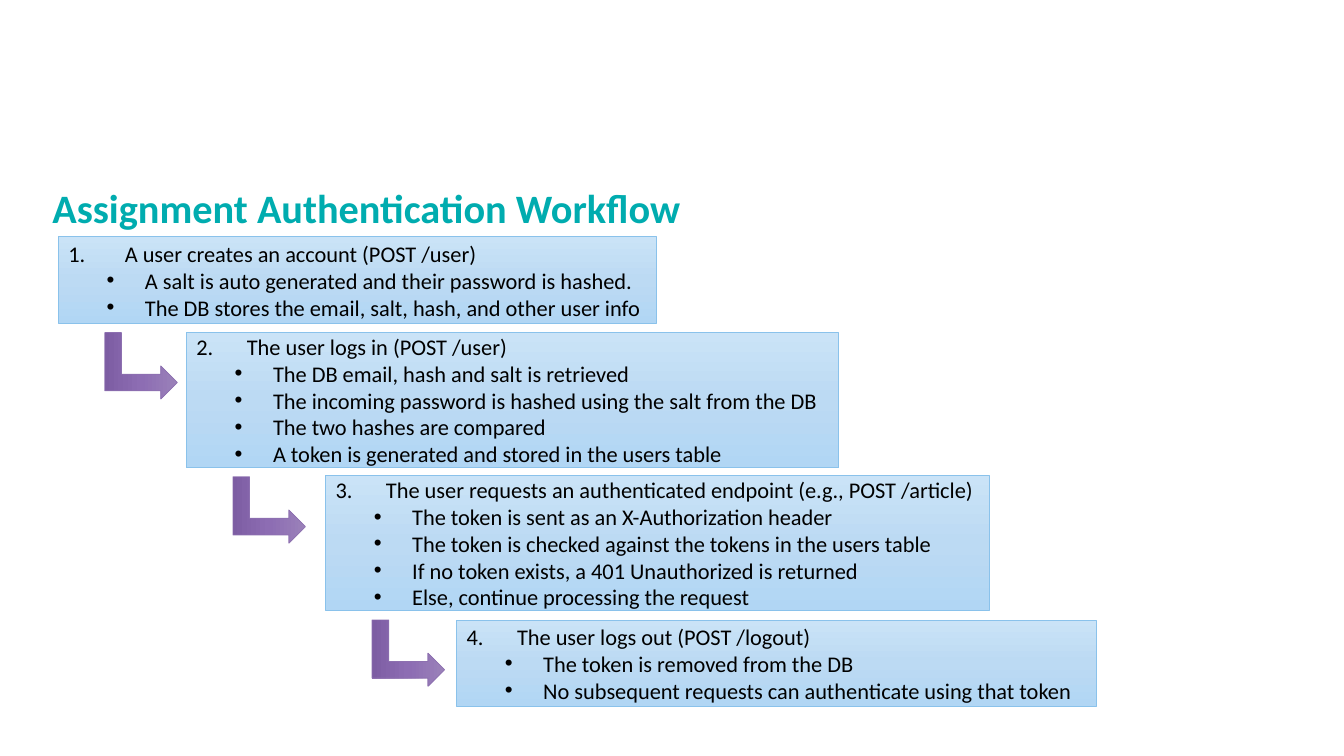
import copy

import pptx
import pptx.dml.color
import pptx.enum.shapes
import pptx.enum.text
import pptx.oxml
import pptx.oxml.ns
import pptx.util

Inches, Pt = pptx.util.Inches, pptx.util.Pt
SHAPES = pptx.enum.shapes.MSO_SHAPE
TEXT = pptx.enum.text

# Content: left, top, width, height, heading indent, heading, bullets
TITLE = "Assignment Authentication Workflow"
STEPS = [
    (0.58, 2.35, 5.93, 0.86, 0.56, "A user creates an account (POST /user)", [
        "A salt is auto generated and their password is hashed.",
        "The DB stores the email, salt, hash, and other user info"]),
    (1.85, 3.3, 6.47, 1.34, 0.5, "The user logs in (POST /user)", [
        "The DB email, hash and salt is retrieved",
        "The incoming password is hashed using the salt from the DB",
        "The two hashes are compared",
        "A token is generated and stored in the users table"]),
    (3.23, 4.72, 6.58, 1.34, 0.5,
     "The user requests an authenticated endpoint (e.g., POST /article)", [
         "The token is sent as an X-Authorization header",
         "The token is checked against the tokens in the users table",
         "If no token exists, a 401 Unauthorized is returned",
         "Else, continue processing the request"]),
    (4.53, 6.15, 6.34, 0.86, 0.5, "The user logs out (POST /logout)", [
        "The token is removed from the DB",
        "No subsequent requests can authenticate using that token"]),
]
COLORS = {"title": "00ACAF", "text": "000000",
          "box_line": "8AC2EB", "arrow_line": "8D70B0"}
BOX_GRADIENT = ["CAE3F7", "BCDAF3", "B1D6F4"]
ARROW_GRADIENT = ["9A81B9", "8D6DB3", "7D5DA3"]
FONT = "Calibri"
ARROW_W, ARROW_H = 0.66, 0.72
ARROW_DX, ARROW_DY = 0.49, 0.06  # from a box's bottom left corner


def rgb(value):
    return pptx.dml.color.RGBColor.from_string(value)


def add_gradient_shape(s, kind, left, top, width, height, gradient, line):
    sp = s.shapes.add_shape(kind, *map(Inches, (left, top, width, height)))
    sp.shadow.inherit = False
    sp.fill.gradient()
    sp.fill.gradient_angle = 270  # counter-clockwise, so top to bottom
    stop_list = sp._element.spPr.find(".//" + pptx.oxml.ns.qn("a:gsLst"))
    stop_list.insert(1, copy.deepcopy(stop_list[0]))
    for stop, position, color in zip(sp.fill.gradient_stops, (0, 0.5, 1), gradient):
        stop.position = position
        stop.color.rgb = rgb(color)
    sp.line.color.rgb = rgb(line)
    sp.line.width = Pt(0.5)
    return sp


def add_item(p, text, bullet, margin, indent, level=0):
    p.text = text
    p.level = level
    p.alignment = TEXT.PP_ALIGN.LEFT
    p.font.name, p.font.size = FONT, Pt(16)
    p.font.color.rgb = rgb(COLORS["text"])
    pPr = p._p.get_or_add_pPr()
    pPr.set("marL", str(Inches(margin)))
    pPr.set("indent", str(-Inches(indent)))
    ns = pptx.oxml.ns.nsdecls("a")
    marks = [f'<a:buAutoNum {ns} type="arabicPeriod" startAt="{bullet}"/>']
    if level:
        marks = [f'<a:buFont {ns} typeface="Arial"/>', f'<a:buChar {ns} char="{bullet}"/>']
    for i, mark in enumerate(marks):
        pPr.insert(i, pptx.oxml.parse_xml(mark))


prs = pptx.Presentation()
prs.slide_width, prs.slide_height = Inches(13.33), Inches(7.5)
s = prs.slides.add_slide(prs.slide_layouts[5])

# Title
title = s.shapes.title
title.left, title.top, title.width, title.height = map(Inches, (0.42, 1.81, 11.5, 0.55))
tf = title.text_frame
tf.text = TITLE
tf.vertical_anchor = TEXT.MSO_ANCHOR.MIDDLE
p = tf.paragraphs[0]
p.alignment = TEXT.PP_ALIGN.LEFT
p.line_spacing = 0.9
p.font.name, p.font.size, p.font.bold = FONT, Pt(28.8), True
p.font.color.rgb = rgb(COLORS["title"])

# Step boxes
for number, (left, top, width, height, indent, heading, bullets) in enumerate(STEPS, 1):
    box = add_gradient_shape(s, SHAPES.RECTANGLE, left, top, width, height,
                             BOX_GRADIENT, COLORS["box_line"])
    tf = box.text_frame
    tf.word_wrap = True
    tf.vertical_anchor = TEXT.MSO_ANCHOR.MIDDLE
    add_item(tf.paragraphs[0], heading, number, indent, indent)
    for bullet in bullets:
        add_item(tf.add_paragraph(), bullet, "•", 0.76, 0.38, level=1)

# Arrows from each step to the next
for left, top, width, height, *rest in STEPS[:-1]:
    arrow = add_gradient_shape(s, SHAPES.BENT_UP_ARROW, left + ARROW_DX,
                               top + height + ARROW_DY, ARROW_W, ARROW_H,
                               ARROW_GRADIENT, COLORS["arrow_line"])
    arrow.rotation = 90

prs.save("out.pptx")
